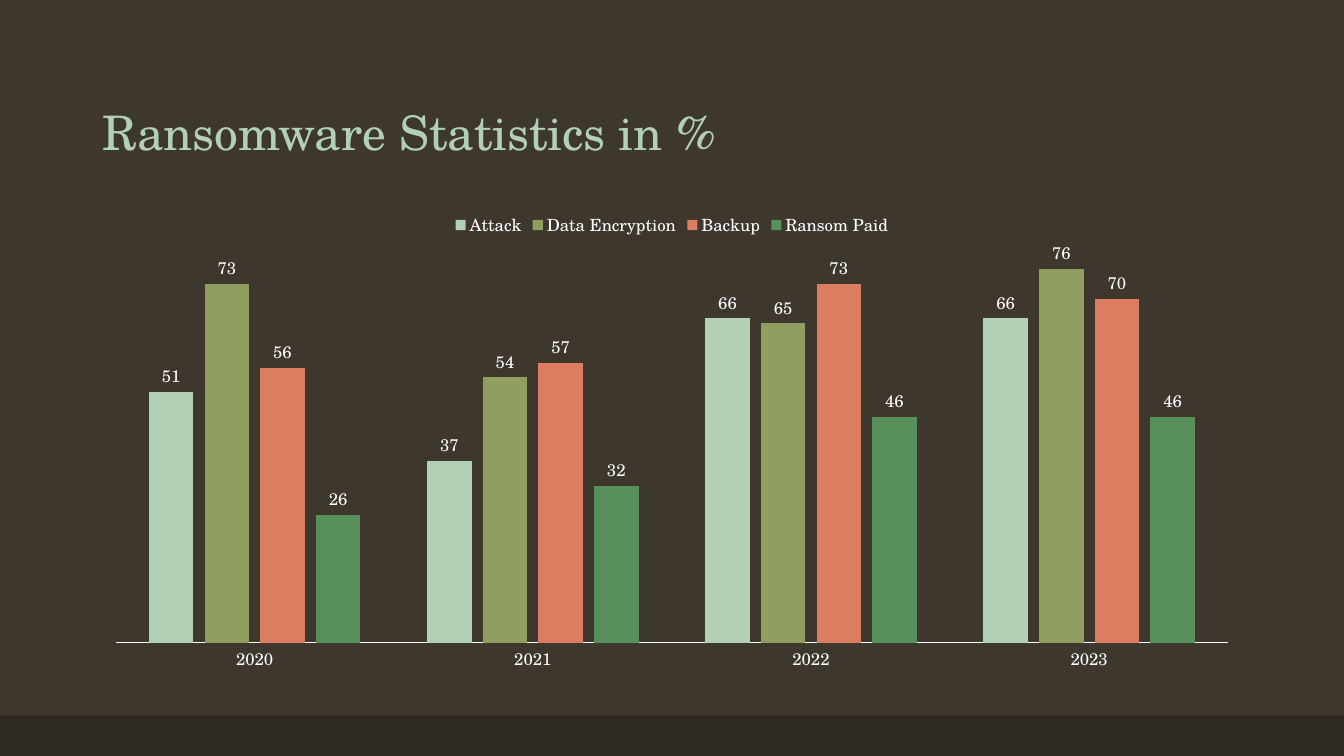
import pptx
import pptx.chart.data
import pptx.dml.color
import pptx.enum.chart
import pptx.enum.shapes
import pptx.enum.text
import pptx.oxml
import pptx.util
from pptx.dml.color import RGBColor
from pptx.util import Cm, Pt

FONT = "TeX Gyre Schola"
WHITE = RGBColor(0xFF, 0xFF, 0xFF)
BACK = RGBColor(0x3D, 0x37, 0x2E)
BAND = RGBColor(0x2E, 0x29, 0x23)
MINT = RGBColor(0xB2, 0xD0, 0xB4)
OLIVE = RGBColor(0x90, 0x9F, 0x5F)
CORAL = RGBColor(0xDA, 0x7D, 0x60)
GREEN = RGBColor(0x58, 0x90, 0x5C)

TITLE = "Ransomware Statistics in %"
YEARS = ["2020", "2021", "2022", "2023"]
SERIES = [
    ("Attack", MINT, (51, 37, 66, 66)),
    ("Data Encryption", OLIVE, (73, 54, 65, 76)),
    ("Backup", CORAL, (56, 57, 73, 70)),
    ("Ransom Paid", GREEN, (26, 32, 46, 46)),
]
WIDE, HIGH = Cm(33.87), Cm(19.05)
LEFT, SPAN = Cm(2.33), Cm(29.21)
FOOT = Cm(1.02)
PLOT = {"x": 0.02, "y": 0.1, "w": 0.96, "h": 0.82}


def style(font, size, color):
    """Set the face, size and colour of a font."""
    font.name = FONT
    font.size = Pt(size)
    font.color.rgb = color


def paint(shape, color):
    """Fill a shape and drop its outline."""
    shape.fill.solid()
    shape.fill.fore_color.rgb = color
    shape.line.fill.background()


def add_title(slide):
    """Place the slide title."""
    title = slide.shapes.title
    title.left, title.top, title.width, title.height = LEFT, Cm(1.02), SPAN, Cm(3.17)
    frame = title.text_frame
    frame.text = TITLE
    frame.word_wrap = True
    frame.vertical_anchor = pptx.enum.text.MSO_ANCHOR.BOTTOM
    para = frame.paragraphs[0]
    para.alignment = pptx.enum.text.PP_ALIGN.LEFT
    para.line_spacing = 0.9
    style(para.font, 34, MINT)


def set_plot(chart):
    """Fix the inner plot area inside the chart."""
    area = chart.plots[0]._element.getparent()
    for old in area.findall(pptx.oxml.ns.qn("c:layout")):
        area.remove(old)
    modes = "".join(f'<c:{key}Mode val="edge"/>' for key in "xy")
    sizes = "".join(f'<c:{key} val="{val}"/>' for key, val in PLOT.items())
    area.insert(0, pptx.oxml.parse_xml(
        f'<c:layout {pptx.oxml.ns.nsdecls("c")}><c:manualLayout>'
        f'<c:layoutTarget val="inner"/>{modes}{sizes}'
        '</c:manualLayout></c:layout>'))


def add_chart(slide):
    """Draw the clustered columns."""
    kinds = pptx.enum.chart
    data = pptx.chart.data.CategoryChartData()
    data.categories = YEARS
    for name, _, vals in SERIES:
        data.add_series(name, vals)
    chart = slide.shapes.add_chart(
        kinds.XL_CHART_TYPE.COLUMN_CLUSTERED, LEFT, Cm(5.08), SPAN, Cm(12.09), data
    ).chart
    style(chart.font, 12, WHITE)
    chart.has_title = False
    chart.has_legend = True
    chart.legend.position = kinds.XL_LEGEND_POSITION.TOP
    chart.legend.include_in_layout = False
    style(chart.legend.font, 12, WHITE)

    years = chart.category_axis
    years.major_tick_mark = kinds.XL_TICK_MARK.NONE
    years.format.line.color.rgb = WHITE
    years.format.line.width = Pt(0.75)
    style(years.tick_labels.font, 12, WHITE)
    scale = chart.value_axis
    scale.minimum_scale, scale.maximum_scale = 0, 80
    scale.has_major_gridlines = False
    scale.visible = False

    plot = chart.plots[0]
    plot.gap_width, plot.overlap = 150, -25
    plot.vary_by_categories = False
    for bars, (_, color, _) in zip(plot.series, SERIES):
        paint(bars.format, color)
        labels = bars.data_labels
        labels.show_value = True
        labels.position = kinds.XL_LABEL_POSITION.OUTSIDE_END
        style(labels.font, 12, WHITE)
    set_plot(chart)


def main():
    """Build and save the slide."""
    deck = pptx.Presentation()
    deck.slide_width, deck.slide_height = WIDE, HIGH
    slide = deck.slides.add_slide(deck.slide_layouts[5])
    slide.background.fill.solid()
    slide.background.fill.fore_color.rgb = BACK
    band = slide.shapes.add_shape(
        pptx.enum.shapes.MSO_SHAPE.RECTANGLE, 0, HIGH - FOOT, WIDE, FOOT)
    band.shadow.inherit = False
    paint(band, BAND)
    add_title(slide)
    add_chart(slide)
    deck.save("out.pptx")


if __name__ == "__main__":
    main()
